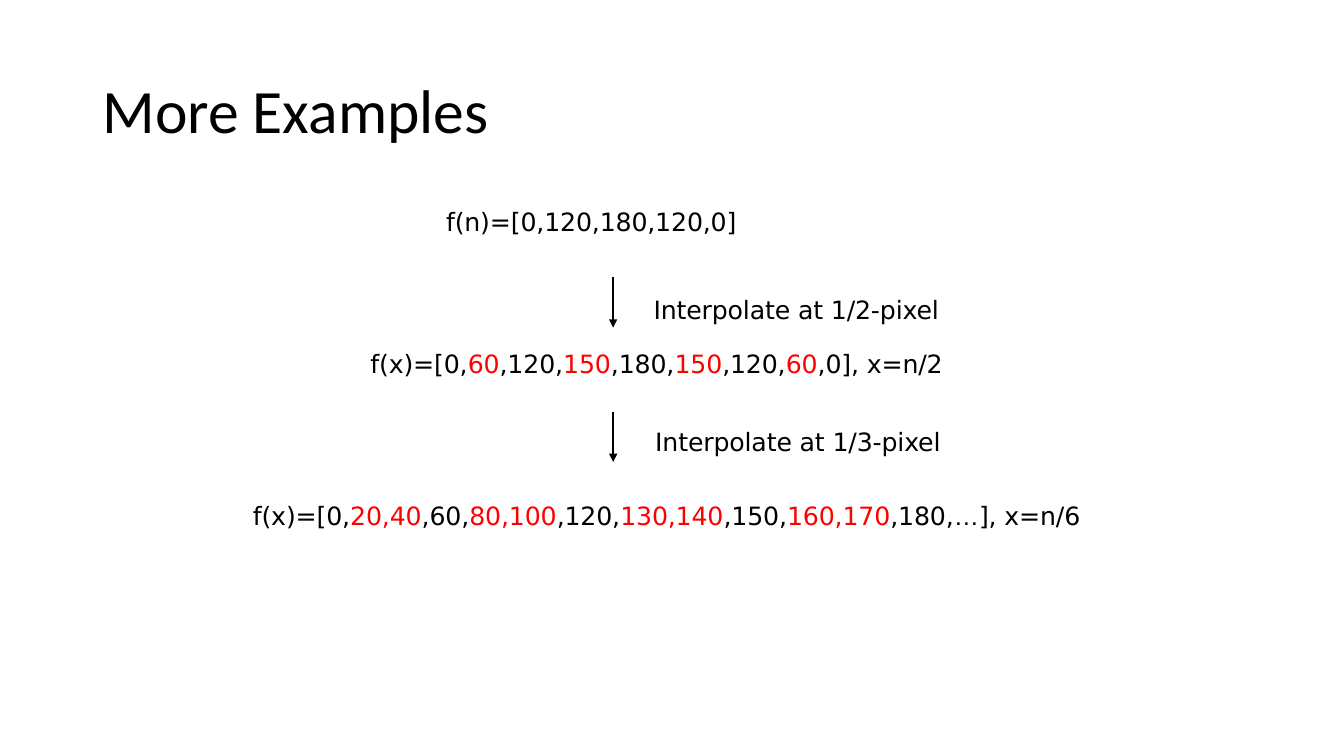
from lxml import etree
from pptx import Presentation
from pptx.dml.color import RGBColor
from pptx.enum.shapes import MSO_CONNECTOR
from pptx.enum.text import MSO_ANCHOR, PP_ALIGN
from pptx.oxml.ns import qn
from pptx.util import Inches, Pt

STRAIGHT = MSO_CONNECTOR.STRAIGHT
MIDDLE = MSO_ANCHOR.MIDDLE
LEFT = PP_ALIGN.LEFT

BLACK = RGBColor(0x00, 0x00, 0x00)
RED = RGBColor(0xFF, 0x00, 0x00)

WIDTH, HEIGHT = Inches(13.33), Inches(7.5)
COLUMN, ROW = WIDTH / 160, HEIGHT / 90
LINE_ROWS = 4
ARROW_COLUMN, ARROW_ROWS = 73, 6
TITLE_ONLY = 5

ORIGINAL = ["f(n)=[0,120,180,120,0]"]
HALF_PIXEL = ["f(x)=[0,", "60", ",120,", "150", ",180,", "150", ",120,", "60", ",0], x=n/2"]
THIRD_PIXEL = ["f(x)=[0,", "20,40", ",60,", "80,100", ",120,", "130,140", ",150,", "160,170", ",180,"]


def across(columns):
    return round(columns * COLUMN)


def down(rows):
    return round(rows * ROW)


def add_title(page, text):
    title = page.shapes.title
    title.left, title.top = across(11), down(4.8)
    title.width, title.height = across(138), down(17.4)
    title.text_frame.vertical_anchor = MIDDLE
    para = title.text_frame.paragraphs[0]
    para.text = text
    para.alignment = LEFT
    para.line_spacing = 0.9
    para.font.name = "Calibri"
    para.font.size = Pt(44)
    para.font.color.rgb = BLACK


def add_line(page, column, middle_row, columns):
    box = page.shapes.add_textbox(across(column), down(middle_row - LINE_ROWS / 2),
                                  across(columns), down(LINE_ROWS))
    frame = box.text_frame
    frame.word_wrap = True
    frame.vertical_anchor = MIDDLE
    frame.margin_left = frame.margin_right = 0
    frame.margin_top = frame.margin_bottom = 0
    para = frame.paragraphs[0]
    para.font.name = "DejaVu Sans"
    para.font.size = Pt(18)
    para.font.color.rgb = BLACK
    return para


def add_span(para, text, color=BLACK, font="DejaVu Sans"):
    span = para.add_run()
    span.text = text
    span.font.name = font
    span.font.size = Pt(18)
    span.font.color.rgb = color
    span.font._element.set("spc", "-10")


def add_sequence(page, column, middle_row, columns, pieces):
    para = add_line(page, column, middle_row, columns)
    for index, piece in enumerate(pieces):
        add_span(para, piece, RED if index % 2 else BLACK)
    return para


def add_step(page, arrow_row, label_column, label_row, label):
    arrow = page.shapes.add_connector(STRAIGHT, across(ARROW_COLUMN), down(arrow_row),
                                      across(ARROW_COLUMN), down(arrow_row + ARROW_ROWS))
    arrow.line.color.rgb = BLACK
    arrow.line.width = Pt(1)
    outline = arrow.line._get_or_add_ln()
    etree.SubElement(outline, qn("a:tailEnd"), type="triangle", w="med", len="med")
    etree.SubElement(arrow._element.spPr, qn("a:effectLst"))
    add_span(add_line(page, label_column, label_row, 40), label)


def main():
    deck = Presentation()
    deck.slide_width, deck.slide_height = WIDTH, HEIGHT
    page = deck.slides.add_slide(deck.slide_layouts[TITLE_ONLY])
    add_title(page, "More Examples")
    add_sequence(page, 53.1, 26.4, 40, ORIGINAL)
    add_step(page, 33, 77.8, 36.8, "Interpolate at 1/2-pixel")
    add_sequence(page, 44.1, 43.3, 76, HALF_PIXEL)
    add_step(page, 49, 78, 52.5, "Interpolate at 1/3-pixel")
    ending = add_sequence(page, 30.1, 61.3, 106, THIRD_PIXEL)
    add_span(ending, "…", font="Arial")
    add_span(ending, "], x=n/6")
    deck.save("out.pptx")


if __name__ == "__main__":
    main()
